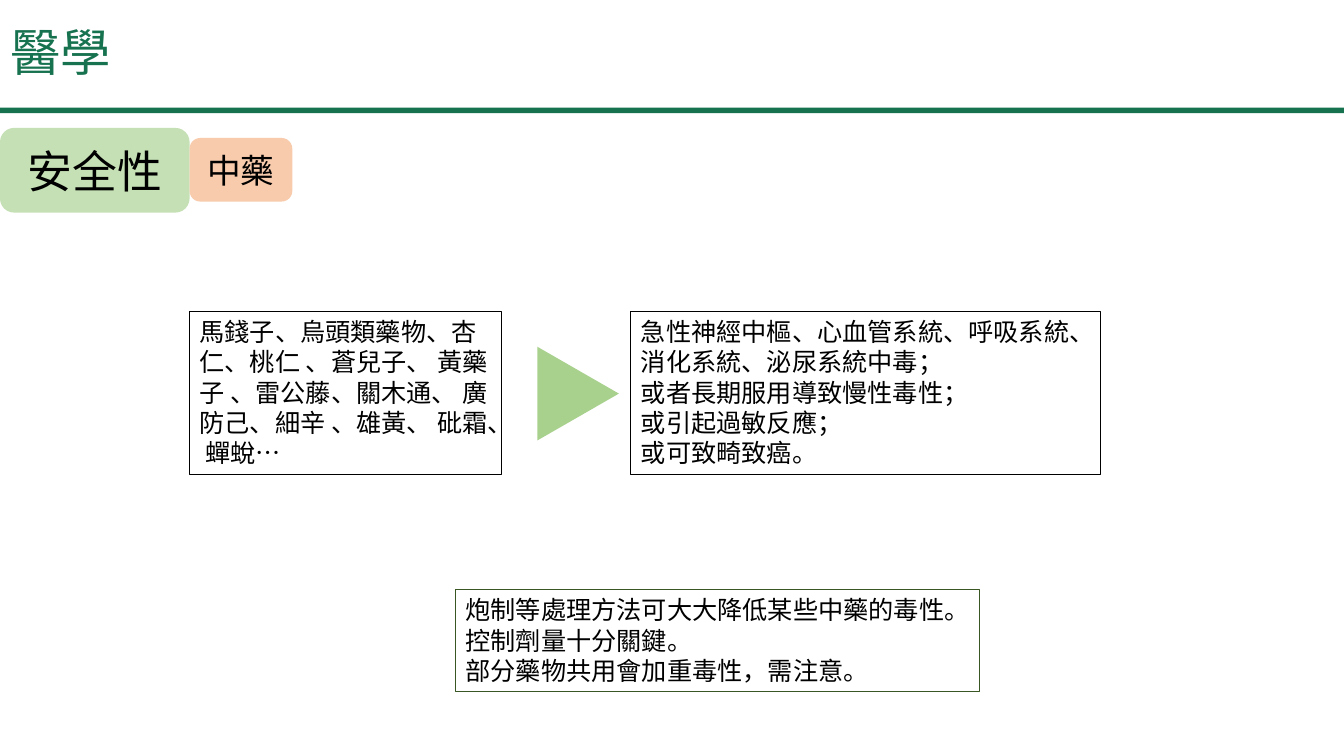
from lxml import etree
from pptx import Presentation
from pptx.dml.color import RGBColor
from pptx.enum.shapes import MSO_SHAPE as Preset
from pptx.enum.text import MSO_ANCHOR as Anchor, MSO_AUTO_SIZE as AutoSize, PP_ALIGN as Align
from pptx.oxml.ns import qn
from pptx.util import Pt

FONT = "Noto Sans CJK SC"
BLACK = RGBColor(0x00, 0x00, 0x00)
DEEP_GREEN = RGBColor(0x17, 0x72, 0x50)
OLIVE = RGBColor(0x38, 0x57, 0x23)
LEAF = RGBColor(0xA9, 0xD1, 0x8E)
PALE_GREEN = RGBColor(0xC5, 0xE0, 0xB4)
PEACH = RGBColor(0xF8, 0xCB, 0xAD)


def write_text(frame, *lines, size=18, color=BLACK, align=Align.LEFT,
               anchor=Anchor.TOP, spacing=None, auto_size=AutoSize.NONE):
    """Fill a text frame with one paragraph per line."""
    frame.word_wrap = True
    frame.auto_size = auto_size
    frame.vertical_anchor = anchor
    for index, line in enumerate(lines):
        paragraph = frame.add_paragraph() if index else frame.paragraphs[0]
        paragraph.alignment = align
        if spacing:
            paragraph.line_spacing = spacing
        run = paragraph.add_run()
        run.text = line
        run.font.size = Pt(size)
        run.font.name = FONT
        run.font.color.rgb = color
        # Chinese glyphs take the East Asian typeface
        latin = run.font._element.find(qn("a:latin"))
        east_asian = etree.Element(qn("a:ea"), typeface=FONT)
        latin.addnext(east_asian)


class MedicineSlide:
    """Holds the slide; all lengths are in points."""

    def __init__(self, deck):
        self.slide = deck.slides.add_slide(deck.slide_layouts[5])

    def title(self, text, left, top, width, height):
        heading = self.slide.shapes.title
        heading.left, heading.top = Pt(left), Pt(top)
        heading.width, heading.height = Pt(width), Pt(height)
        write_text(heading.text_frame, text, size=36, color=DEEP_GREEN,
                   anchor=Anchor.MIDDLE, spacing=0.9)

    def block(self, preset, left, top, width, height, fill=None, line=None):
        block = self.slide.shapes.add_shape(
            preset, Pt(left), Pt(top), Pt(width), Pt(height))
        block.shadow.inherit = False
        if fill is None:
            block.fill.background()
        else:
            block.fill.solid()
            block.fill.fore_color.rgb = fill
        if line is None:
            block.line.fill.background()
        else:
            block.line.color.rgb = line
            block.line.width = Pt(0.75)
        return block

    def tag(self, text, left, top, width, height, fill, size):
        tag = self.block(Preset.ROUNDED_RECTANGLE, left, top, width, height, fill)
        write_text(tag.text_frame, text, size=size, align=Align.CENTER,
                   anchor=Anchor.MIDDLE)

    def note(self, lines, left, top, width, height, line=BLACK):
        note = self.block(Preset.RECTANGLE, left, top, width, height, line=line)
        write_text(note.text_frame, *lines, auto_size=AutoSize.SHAPE_TO_FIT_TEXT)

    def pointer(self, left, top, width, height):
        pointer = self.block(Preset.ISOSCELES_TRIANGLE, left, top, width, height, LEAF)
        pointer.rotation = 90


def main():
    deck = Presentation()
    deck.slide_width, deck.slide_height = Pt(960), Pt(540)
    page = MedicineSlide(deck)

    # Heading and its rule
    page.block(Preset.RECTANGLE, -3.6, 77, 964, 3.8, DEEP_GREEN)
    page.title("醫學", 0, 1.4, 828, 75.6)

    # Topic tags
    page.tag("安全性", 0, 91.4, 135.4, 60.5, PALE_GREEN, size=32)
    page.tag("中藥", 135.4, 98.6, 73.4, 45.4, PEACH, size=24)

    # Toxic herbs lead to harmful effects
    page.note(["馬錢子、烏頭類藥物、杏仁、桃仁 、蒼兒子、 黃藥子 、雷公藤、關木通、 "
               "廣防己、細辛 、雄黃、 砒霜、 蟬蛻…"], 135.4, 222.5, 223.2, 116.3)
    page.pointer(379.4, 252, 67, 58.3)
    page.note(["急性神經中樞、心血管系統、呼吸系統、消化系統、泌尿系統中毒；",
               "或者長期服用導致慢性毒性；",
               "或引起過敏反應；",
               "或可致畸致癌。"], 450.7, 222.5, 335.5, 116.3)

    # Ways to limit toxicity
    page.note(["炮制等處理方法可大大降低某些中藥的毒性。",
               "控制劑量十分關鍵。",
               "部分藥物共用會加重毒性，需注意。"], 325.4, 421.2, 374.4, 72.7, line=OLIVE)

    deck.save("out.pptx")


if __name__ == "__main__":
    main()
